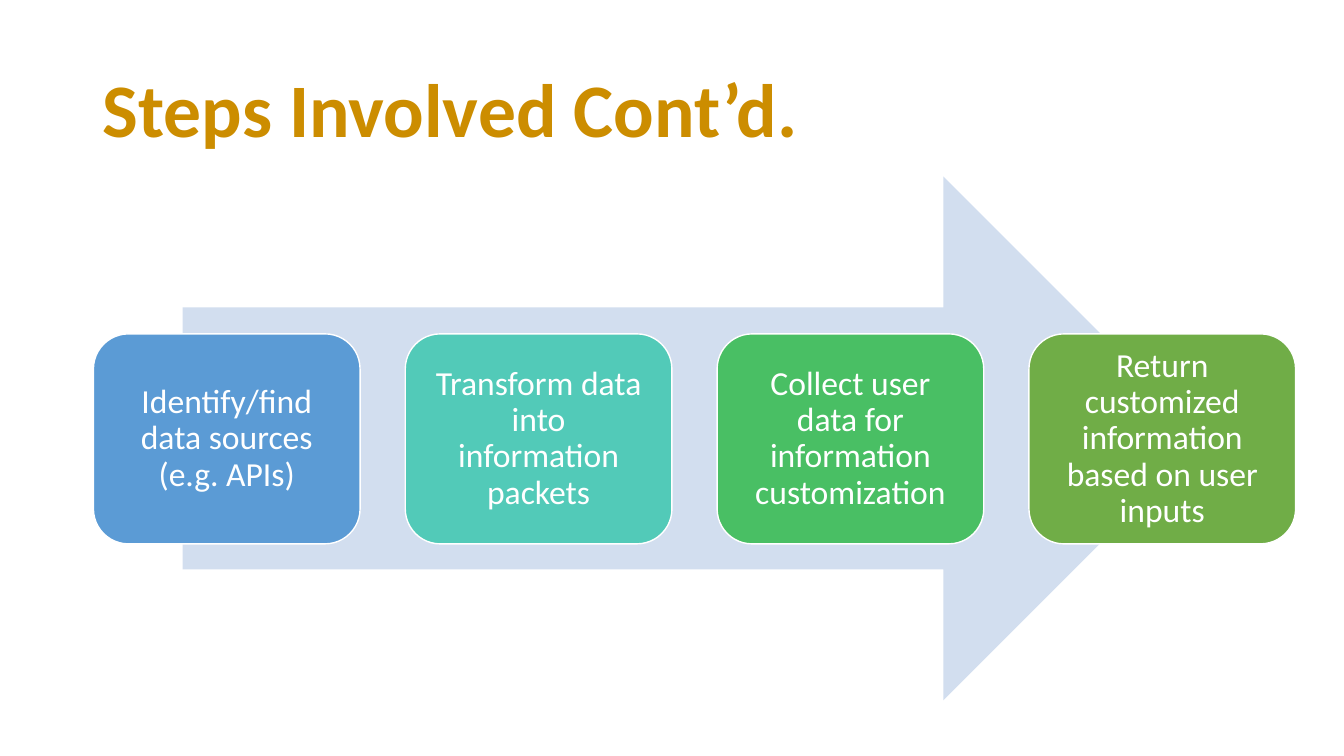
from dataclasses import dataclass

from pptx import Presentation
from pptx.dml.color import RGBColor
from pptx.enum.shapes import MSO_SHAPE
from pptx.enum.text import MSO_ANCHOR, PP_ALIGN
from pptx.shapes.autoshape import Shape
from pptx.slide import Slide
from pptx.util import Emu, Pt

WHITE = RGBColor(0xFF, 0xFF, 0xFF)
GOLD = RGBColor(0xCC, 0x8D, 0x00)
PALE_BLUE = RGBColor(0xD2, 0xDE, 0xEF)
BLUE = RGBColor(0x5B, 0x9B, 0xD5)
TEAL = RGBColor(0x52, 0xCA, 0xB8)
GREEN = RGBColor(0x49, 0xBF, 0x64)
OLIVE = RGBColor(0x70, 0xAD, 0x47)

FONT = "Calibri"
STEP_LEFT, STEP_TOP, STEP_W, STEP_H = 89, 318, 254, 200
STEP_PITCH = 297


@dataclass(frozen=True)
class Step:
    text: str
    color: RGBColor


STEPS = [
    Step("Identify/find data sources (e.g. APIs)", BLUE),
    Step("Transform data into information packets", TEAL),
    Step("Collect user data for information customization", GREEN),
    Step("Return customized information based on user inputs", OLIVE),
]


def px(n: int) -> Emu:
    return Emu(n * 9525)


def write(sp: Shape, text: str, *, size: int, color: RGBColor, bold: bool = False,
          align: PP_ALIGN = PP_ALIGN.LEFT, inset_x: int = 10, inset_y: int = 5) -> None:
    tf = sp.text_frame
    tf.word_wrap = True
    tf.vertical_anchor = MSO_ANCHOR.MIDDLE
    tf.margin_left = tf.margin_right = px(inset_x)
    tf.margin_top = tf.margin_bottom = px(inset_y)
    p = tf.paragraphs[0]
    p.alignment = align
    p.line_spacing = 0.9
    r = p.add_run()
    r.text = text
    r.font.name = FONT
    r.font.size = Pt(size)
    r.font.bold = bold
    r.font.color.rgb = color


def add_block(s: Slide, kind: MSO_SHAPE, x: int, y: int, w: int, h: int,
              fill: RGBColor) -> Shape:
    sp = s.shapes.add_shape(kind, px(x), px(y), px(w), px(h))
    sp.shadow.inherit = False
    sp.fill.solid()
    sp.fill.fore_color.rgb = fill
    sp.line.fill.background()
    return sp


def add_step(s: Slide, index: int, step: Step) -> None:
    sp = add_block(s, MSO_SHAPE.ROUNDED_RECTANGLE, STEP_LEFT + index * STEP_PITCH,
                   STEP_TOP, STEP_W, STEP_H, step.color)
    sp.line.color.rgb = WHITE
    sp.line.width = Pt(1)
    write(sp, step.text, size=24, color=WHITE, align=PP_ALIGN.CENTER,
          inset_x=19, inset_y=10)


def main() -> None:
    prs = Presentation()
    prs.slide_width, prs.slide_height = px(1280), px(720)
    s = prs.slides.add_slide(prs.slide_layouts[6])
    title = s.shapes.add_textbox(px(88), px(38), px(1104), px(139))
    write(title, "Steps Involved Cont’d.", size=54, color=GOLD, bold=True)
    add_block(s, MSO_SHAPE.RIGHT_ARROW, 174, 168, 974, 499, PALE_BLUE)
    for index, step in enumerate(STEPS):
        add_step(s, index, step)
    prs.save("out.pptx")


if __name__ == "__main__":
    main()
